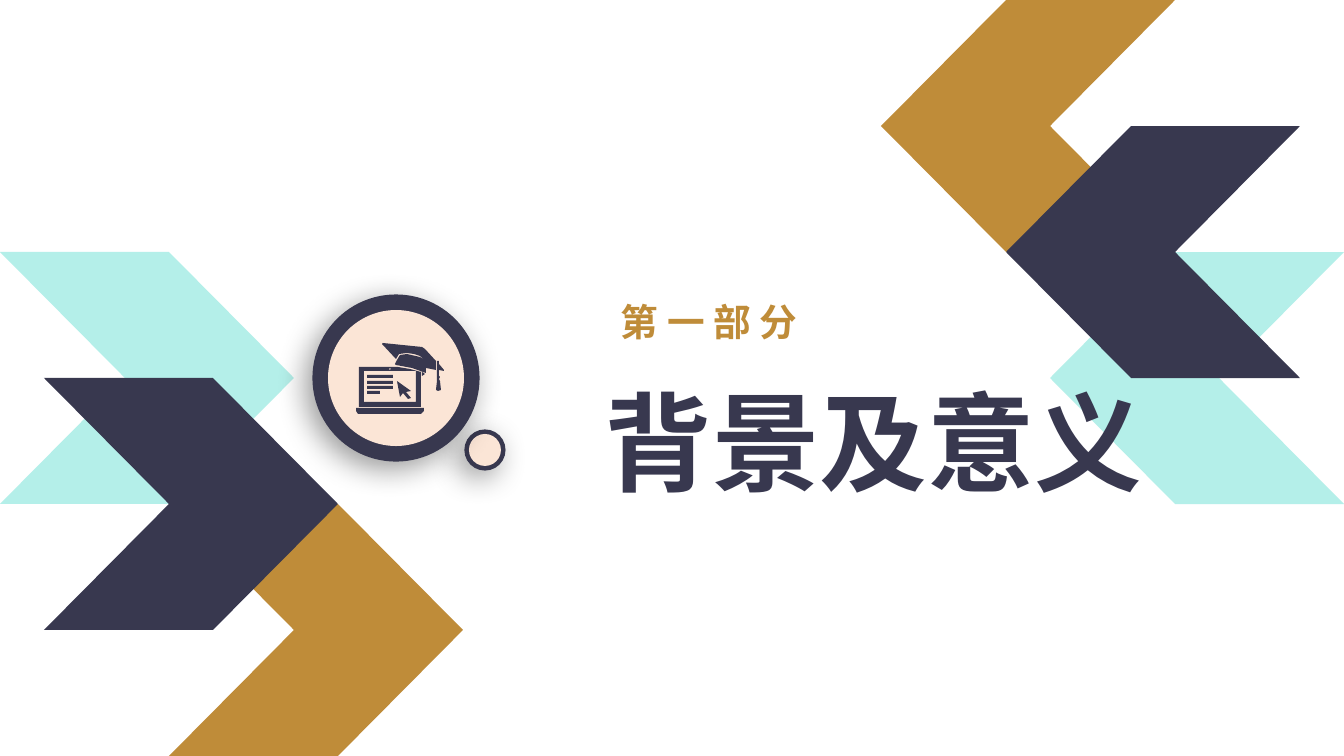
from lxml import etree
from pptx import Presentation
from pptx.dml.color import RGBColor
from pptx.enum.shapes import MSO_SHAPE
from pptx.enum.text import MSO_ANCHOR, MSO_AUTO_SIZE
from pptx.oxml import parse_xml
from pptx.oxml.ns import nsdecls, qn
from pptx.util import Emu, Pt

PX = 914400 / 100.8
CHEVRON, OVAL = MSO_SHAPE.CHEVRON, MSO_SHAPE.OVAL
MIDDLE, GROW = MSO_ANCHOR.MIDDLE, MSO_AUTO_SIZE.SHAPE_TO_FIT_TEXT

NAVY = RGBColor(0x38, 0x38, 0x4F)
GOLD = RGBColor(0xBF, 0x8C, 0x39)
MINT = RGBColor(0xB4, 0xEF, 0xE9)
PEACH = RGBColor(0xFB, 0xE5, 0xD6)
FONT = "Noto Sans CJK SC"

SLIDE_W, SLIDE_H = 1344, 756
CHEVRON_W, CHEVRON_H, NOTCH = 294, 252, 125
# Offsets from the left edge; the right side is the same pattern turned by 180°
CHEVRONS = [(0, 252, MINT), (169, 504, GOLD), (44, 378, NAVY)]


def rectangle(left, top, width, height):
    return [(left, top), (left + width, top),
            (left + width, top + height), (left, top + height)]


LAPTOP = [
    [(0, 65), (68, 65), (68, 68), (65, 71), (2, 71), (0, 68)],
    [(3, 24), (42, 24), (54, 26), (65, 29), (65, 64), (3, 64)],
    rectangle(8, 28, 52, 31),
    [(34, 25), (35, 26), (34, 27), (33, 26)],
    [(66, 29), (69, 31), (66, 33)],
]
TEXT_LINES = [rectangle(11, top, width, 3)
              for top, width in ((32, 26), (38, 26), (43, 26), (48, 13))]
CURSOR = [(41, 38), (44, 54), (47, 50), (52, 56), (55, 55), (50, 49), (55, 48)]
CAP = [(80, 18), (69, 6), (66, 4), (27, 0), (26, 1), (40, 16), (43, 11),
       (51, 10), (58, 11), (64, 13), (69, 17), (64, 14), (51, 11), (44, 12),
       (41, 17), (39, 21), (40, 22), (56, 25), (70, 30), (70, 25), (80, 27)]
TASSEL = [(88, 28), (88, 27), (83, 21), (83, 18), (81, 18), (81, 38), (80, 47),
          (82, 48), (85, 47), (84, 38), (83, 36), (84, 34), (83, 33), (83, 27)]


def px(*lengths):
    return [Emu(round(length * PX)) for length in lengths]


def paint(shape, color):
    shape.shadow.inherit = False
    shape.fill.solid()
    shape.fill.fore_color.rgb = color
    shape.line.fill.background()


def add_chevrons(slide, turned):
    for left, top, color in CHEVRONS:
        if turned:
            left = SLIDE_W - left - CHEVRON_W
            top = SLIDE_H - top - CHEVRON_H
        chevron = slide.shapes.add_shape(
            CHEVRON, *px(left, top, CHEVRON_W, CHEVRON_H))
        chevron.adjustments[0] = NOTCH / CHEVRON_H
        chevron.rotation = 180 if turned else 0
        paint(chevron, color)


def add_shadow(shape):
    effects = shape._element.spPr.find(qn("a:effectLst"))
    effects.append(parse_xml(
        f'<a:outerShdw {nsdecls("a")} blurRad="{Pt(22)}" dist="{Pt(7)}" '
        'dir="8100000" algn="tr" rotWithShape="0"><a:srgbClr val="000000">'
        '<a:alpha val="40000"/></a:srgbClr></a:outerShdw>'))


def add_badge(slide, left, top, size, rim):
    """Add a shadowed navy disc with a peach centre and return its group."""
    group = slide.shapes.add_group_shape()
    disc = group.shapes.add_shape(OVAL, *px(left, top, size, size))
    paint(disc, NAVY)
    disc.line.color.rgb = NAVY
    disc.line.width = Pt(2.25)
    add_shadow(disc)
    inner = size - 2 * rim
    centre = group.shapes.add_shape(
        OVAL, *px(left + rim, top + rim, inner, inner))
    paint(centre, PEACH)
    return group


def add_study_icon(group, left, top):
    outlines = [*LAPTOP, *TEXT_LINES, CURSOR, CAP, TASSEL]
    builder = group.shapes.build_freeform(*outlines[0][0], scale=PX)
    for outline in outlines:
        builder.move_to(*outline[0])
        builder.add_line_segments(outline[1:], close=True)
    paint(builder.convert_to_shape(*px(left, top)), NAVY)


def add_heading(slide, box, words, size, color):
    frame = slide.shapes.add_textbox(*px(*box)).text_frame
    frame.word_wrap = True
    frame.auto_size = GROW
    frame.vertical_anchor = MIDDLE
    frame.text = words
    span = frame.paragraphs[0].runs[0]
    span.font.name = FONT
    span.font.size = Pt(size)
    span.font.bold = True
    span.font.color.rgb = color
    east_asian = etree.SubElement(span.font._element, qn("a:ea"))
    east_asian.set("typeface", FONT)


def build_section_slide(deck):
    slide = deck.slides.add_slide(deck.slide_layouts[6])
    add_chevrons(slide, turned=True)
    add_chevrons(slide, turned=False)
    add_heading(slide, (611, 294, 296, 55), "第 一 部 分", 26.9, GOLD)
    add_heading(slide, (595, 371, 669, 139), "背景及意义", 76.8, NAVY)
    add_badge(slide, 466, 431, 38, 3)
    main_badge = add_badge(slide, 314, 296, 164, 14)
    add_study_icon(main_badge, 356, 343)


def main():
    deck = Presentation()
    deck.slide_width, deck.slide_height = px(SLIDE_W, SLIDE_H)
    build_section_slide(deck)
    deck.save("out.pptx")


if __name__ == "__main__":
    main()
